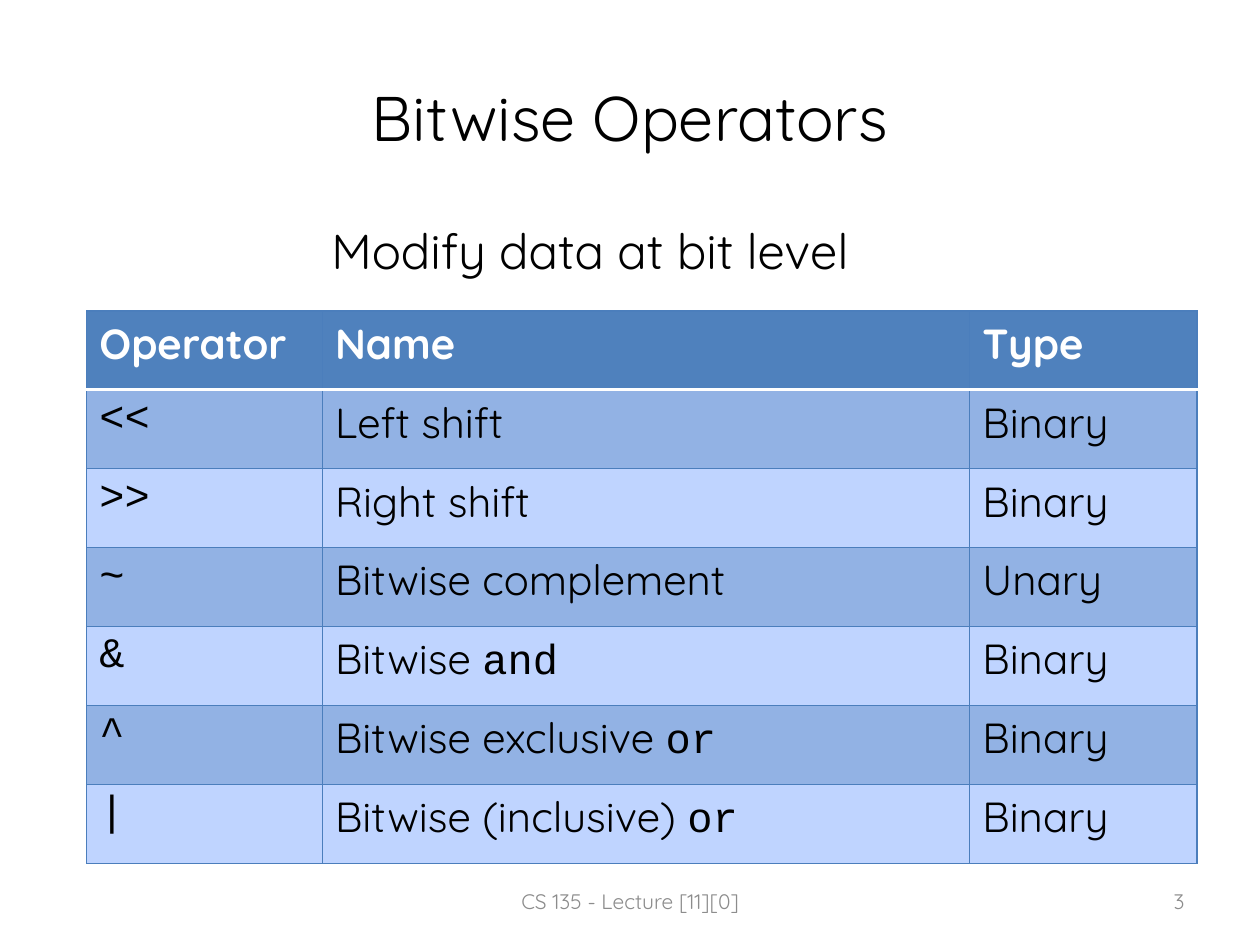
from dataclasses import dataclass

import pptx
import pptx.dml.color
import pptx.enum.text
import pptx.oxml
import pptx.util
from pptx.util import Cm

Align = pptx.enum.text.PP_ALIGN
Anchor = pptx.enum.text.MSO_ANCHOR
BODY, CODE = "Quicksand", "Courier New"
BLACK, WHITE, GREY = "000000", "FFFFFF", "8C8C8C"
HEADER_BLUE, GRID_BLUE = "4F81BD", "4B7EBC"
BANDS = ("92B2E4", "BFD4FF")
COLUMN_WIDTHS = (4.75, 13.05, 4.58)
ROW_HEIGHT = 1.59


@dataclass(frozen=True)
class Operator:
    symbol: str
    name: str
    kind: str = "Binary"
    keyword: str = ""


@dataclass(frozen=True)
class Label:
    text: str
    left: float
    top: float
    width: float
    height: float
    size: float
    color: str
    align: Align = Align.LEFT
    anchor: Anchor = Anchor.TOP
    wrap: bool = True


OPERATORS = (
    Operator("<<", "Left shift"),
    Operator(">>", "Right shift"),
    Operator("~", "Bitwise complement", "Unary"),
    Operator("&", "Bitwise ", keyword="and"),
    Operator("^", "Bitwise exclusive ", keyword="or"),
    Operator("|", "Bitwise (inclusive) ", keyword="or"),
)
LABELS = (
    Label("CS 135 - Lecture [11][0]", 8.68, 17.65, 8.05, 1.02, 12, GREY,
          Align.CENTER, Anchor.MIDDLE),
    Label("3", 18.2, 17.65, 5.93, 1.02, 12, GREY, Align.RIGHT, Anchor.MIDDLE),
    Label("Modify data at bit level", 6.43, 4.32, 11.79, 1.45, 28, BLACK, wrap=False),
)


def rgb(value: str) -> pptx.dml.color.RGBColor:
    return pptx.dml.color.RGBColor.from_string(value)


def add_run(paragraph, text: str, size: float, font: str = BODY,
            color: str = BLACK, bold: bool = False) -> None:
    run = paragraph.add_run()
    run.text = text
    run.font.size = pptx.util.Pt(size)
    run.font.name = font
    run.font.bold = bold
    run.font.color.rgb = rgb(color)


def add_label(slide, label: Label) -> None:
    box = slide.shapes.add_textbox(Cm(label.left), Cm(label.top),
                                   Cm(label.width), Cm(label.height))
    frame = box.text_frame
    frame.word_wrap = label.wrap
    frame.vertical_anchor = label.anchor
    frame.paragraphs[0].alignment = label.align
    add_run(frame.paragraphs[0], label.text, label.size, color=label.color)


def add_border(cell, side: str, color: str, points: float) -> None:
    width = pptx.util.Pt(points)
    cell._tc.get_or_add_tcPr().append(pptx.oxml.parse_xml(
        f'<a:ln{side} xmlns:a="http://schemas.openxmlformats.org/drawingml/2006/main" '
        f'w="{width}"><a:solidFill><a:srgbClr val="{color}"/></a:solidFill></a:ln{side}>'))


def style_cell(cell, row: int) -> None:
    """Draw the borders, then the fill, in the order the file format requires."""
    white_side = {0: "B", 1: "T"}.get(row)
    for side in "LRTB":
        add_border(cell, side, *((WHITE, 2) if side == white_side else (GRID_BLUE, 0.75)))
    cell.fill.solid()
    cell.fill.fore_color.rgb = rgb(BANDS[(row - 1) % 2] if row else HEADER_BLUE)


def add_operator_table(slide) -> None:
    row_count = len(OPERATORS) + 1
    table = slide.shapes.add_table(row_count, len(COLUMN_WIDTHS), Cm(1.75), Cm(6.27),
                                   Cm(sum(COLUMN_WIDTHS)), Cm(ROW_HEIGHT * row_count)).table
    for column, width in zip(table.columns, COLUMN_WIDTHS):
        column.width = Cm(width)
    for index, row in enumerate(table.rows):
        row.height = Cm(ROW_HEIGHT)
        for cell in row.cells:
            style_cell(cell, index)
    for cell, heading in zip(table.rows[0].cells, ("Operator", "Name", "Type")):
        add_run(cell.text_frame.paragraphs[0], heading, 24, color=WHITE, bold=True)
    for index, operator in enumerate(OPERATORS, start=1):
        symbol, name, kind = (cell.text_frame.paragraphs[0]
                              for cell in table.rows[index].cells)
        add_run(symbol, operator.symbol, 24, CODE)
        add_run(name, operator.name, 24)
        if operator.keyword:
            add_run(name, operator.keyword, 24, CODE)
        add_run(kind, operator.kind, 24)


def main() -> None:
    deck = pptx.Presentation()
    deck.slide_width, deck.slide_height = Cm(25.4), Cm(19.05)
    slide = deck.slides.add_slide(deck.slide_layouts[5])
    title = slide.shapes.title
    title.left, title.top, title.width, title.height = Cm(1.27), Cm(0.76), Cm(22.86), Cm(3.18)
    title.text_frame.vertical_anchor = Anchor.MIDDLE
    heading = title.text_frame.paragraphs[0]
    heading.alignment = Align.CENTER
    add_run(heading, "Bitwise Operators", 36)
    add_operator_table(slide)
    for label in LABELS:
        add_label(slide, label)
    deck.save("out.pptx")


if __name__ == "__main__":
    main()
